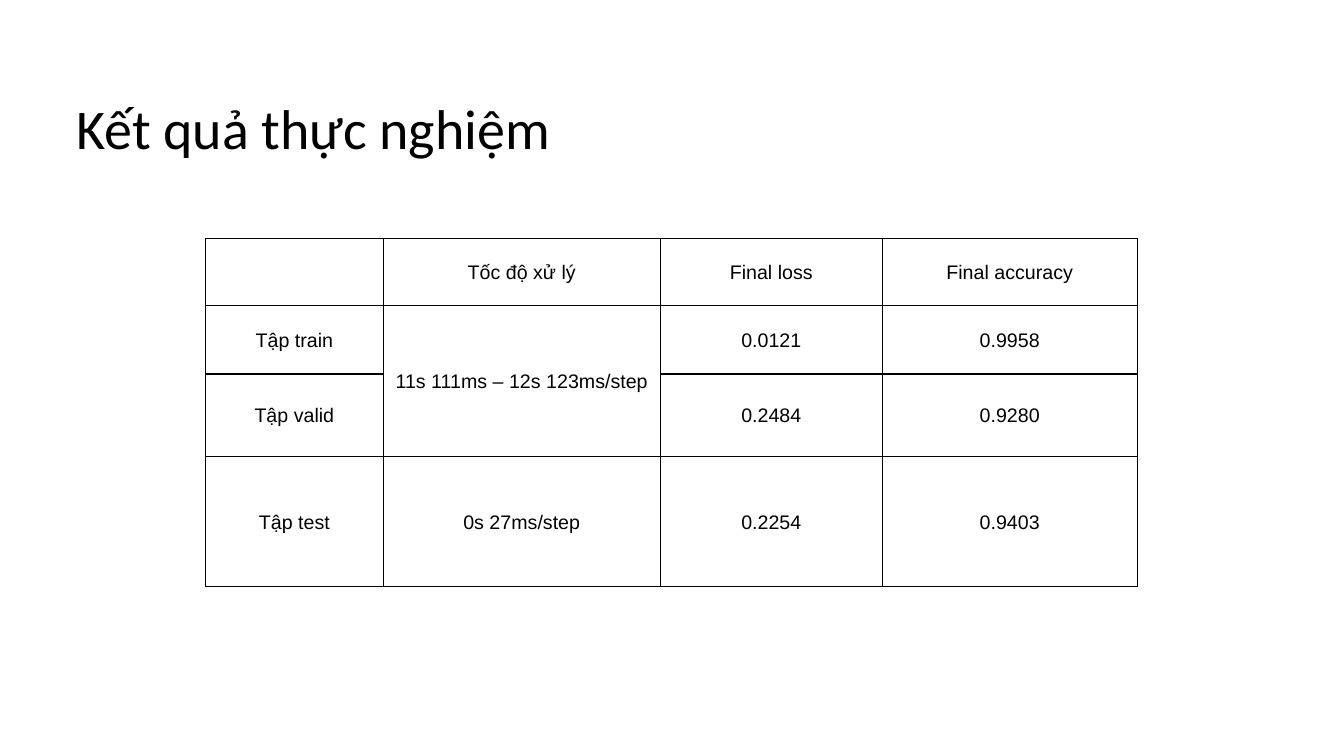
from dataclasses import dataclass

from lxml import etree
from pptx import Presentation
from pptx.dml.color import RGBColor
from pptx.enum.text import MSO_ANCHOR, MSO_AUTO_SIZE, PP_ALIGN
from pptx.oxml.ns import qn
from pptx.slide import Slide
from pptx.table import Table, _Cell
from pptx.text.text import _Paragraph
from pptx.util import Inches, Pt

MIDDLE = MSO_ANCHOR.MIDDLE
CENTER = PP_ALIGN.CENTER
GROW = MSO_AUTO_SIZE.SHAPE_TO_FIT_TEXT

BLACK = "000000"
WHITE = "FFFFFF"
WIDTHS = (1.76, 2.75, 2.2, 2.53)
SPEED = 1


@dataclass
class Row:
    height: float
    texts: tuple[str, str, str, str]


ROWS = (
    Row(0.66, ("", "Tốc độ xử lý", "Final loss", "Final accuracy")),
    Row(0.68, ("Tập train", "11s 111ms – 12s 123ms/step", "0.0121", "0.9958")),
    Row(0.82, ("Tập valid", "", "0.2484", "0.9280")),
    Row(1.29, ("Tập test", "0s 27ms/step", "0.2254", "0.9403")),
)


def color(code: str) -> RGBColor:
    return RGBColor.from_string(code)


def style(para: _Paragraph, face: str, size: float) -> None:
    para.font.name = face
    para.font.size = Pt(size)
    para.font.color.rgb = color(BLACK)


def add_title(slide: Slide, text: str) -> None:
    box = slide.shapes.add_textbox(
        Inches(0.66), Inches(0.88), Inches(4.98), Inches(0.77)
    )
    frame = box.text_frame
    frame.word_wrap = True
    frame.auto_size = GROW
    frame.text = text
    style(frame.paragraphs[0], "Calibri", 40)


def add_border(cell: _Cell) -> None:
    props = cell._tc.get_or_add_tcPr()
    for index, side in enumerate("LRTB"):
        line = etree.Element(qn(f"a:ln{side}"), w=str(Pt(1)))
        fill = etree.SubElement(line, qn("a:solidFill"))
        etree.SubElement(fill, qn("a:srgbClr"), val=BLACK)
        props.insert(index, line)


def fill_cell(cell: _Cell, text: str) -> None:
    cell.fill.solid()
    cell.fill.fore_color.rgb = color(WHITE)
    add_border(cell)
    cell.vertical_anchor = MIDDLE
    cell.margin_left = cell.margin_right = Inches(0.07)
    cell.margin_top = cell.margin_bottom = 0
    cell.text = text
    para = cell.text_frame.paragraphs[0]
    para.alignment = CENTER
    para.line_spacing = 1.07
    style(para, "Arial", 14)


def add_results(slide: Slide) -> None:
    height = sum(row.height for row in ROWS)
    table: Table = slide.shapes.add_table(
        len(ROWS), len(WIDTHS),
        Inches(2.04), Inches(2.37), Inches(sum(WIDTHS)), Inches(height),
    ).table
    table.first_row = False
    table.horz_banding = False
    for column, width in zip(table.columns, WIDTHS):
        column.width = Inches(width)
    for line, row in zip(table.rows, ROWS):
        line.height = Inches(row.height)
        for cell, text in zip(line.cells, row.texts):
            fill_cell(cell, text)
    table.cell(1, SPEED).merge(table.cell(2, SPEED))


def main() -> None:
    deck = Presentation()
    deck.slide_width = Inches(13.33)
    deck.slide_height = Inches(7.5)
    slide = deck.slides.add_slide(deck.slide_layouts[6])
    add_title(slide, "Kết quả thực nghiệm")
    add_results(slide)
    deck.save("out.pptx")


if __name__ == "__main__":
    main()
